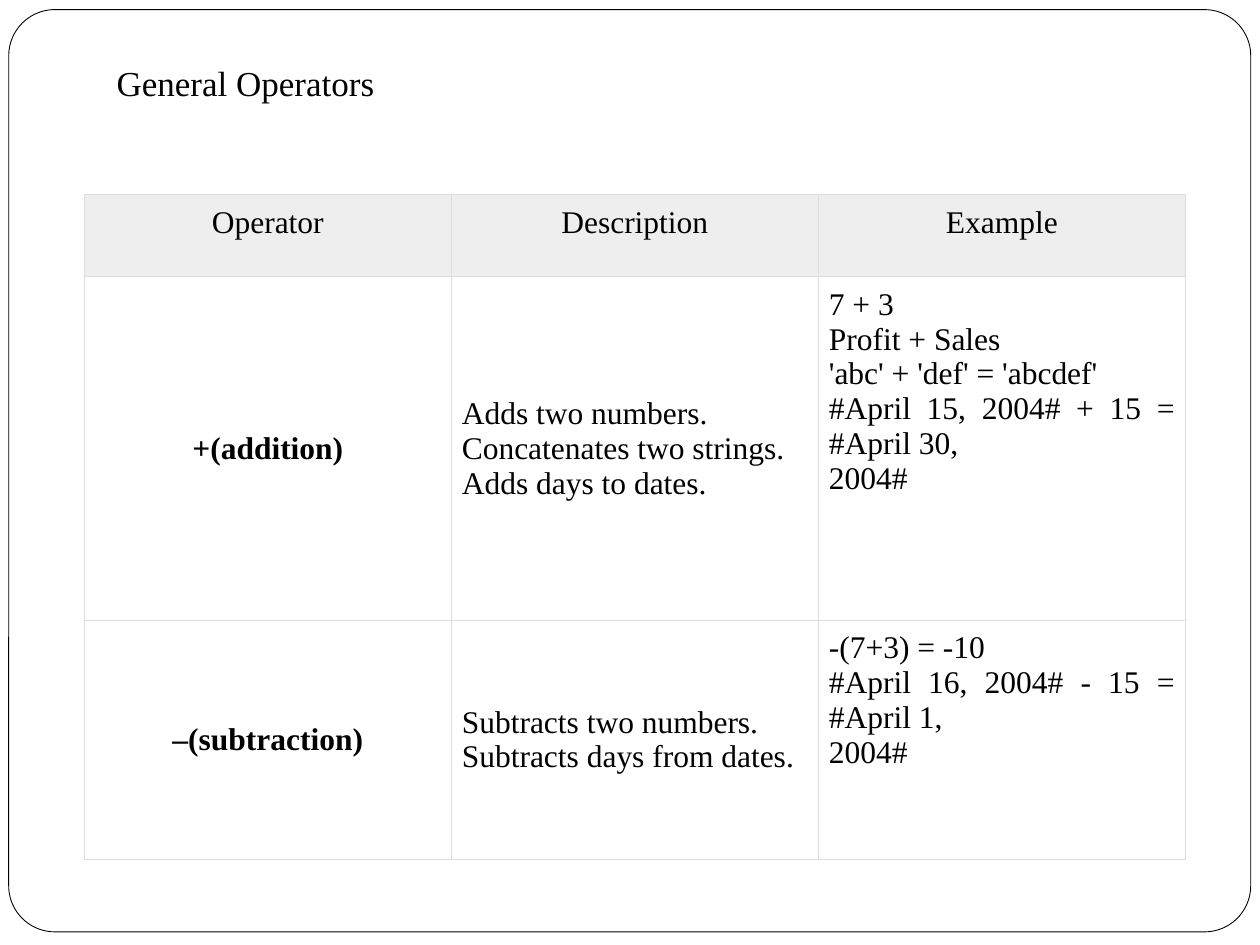
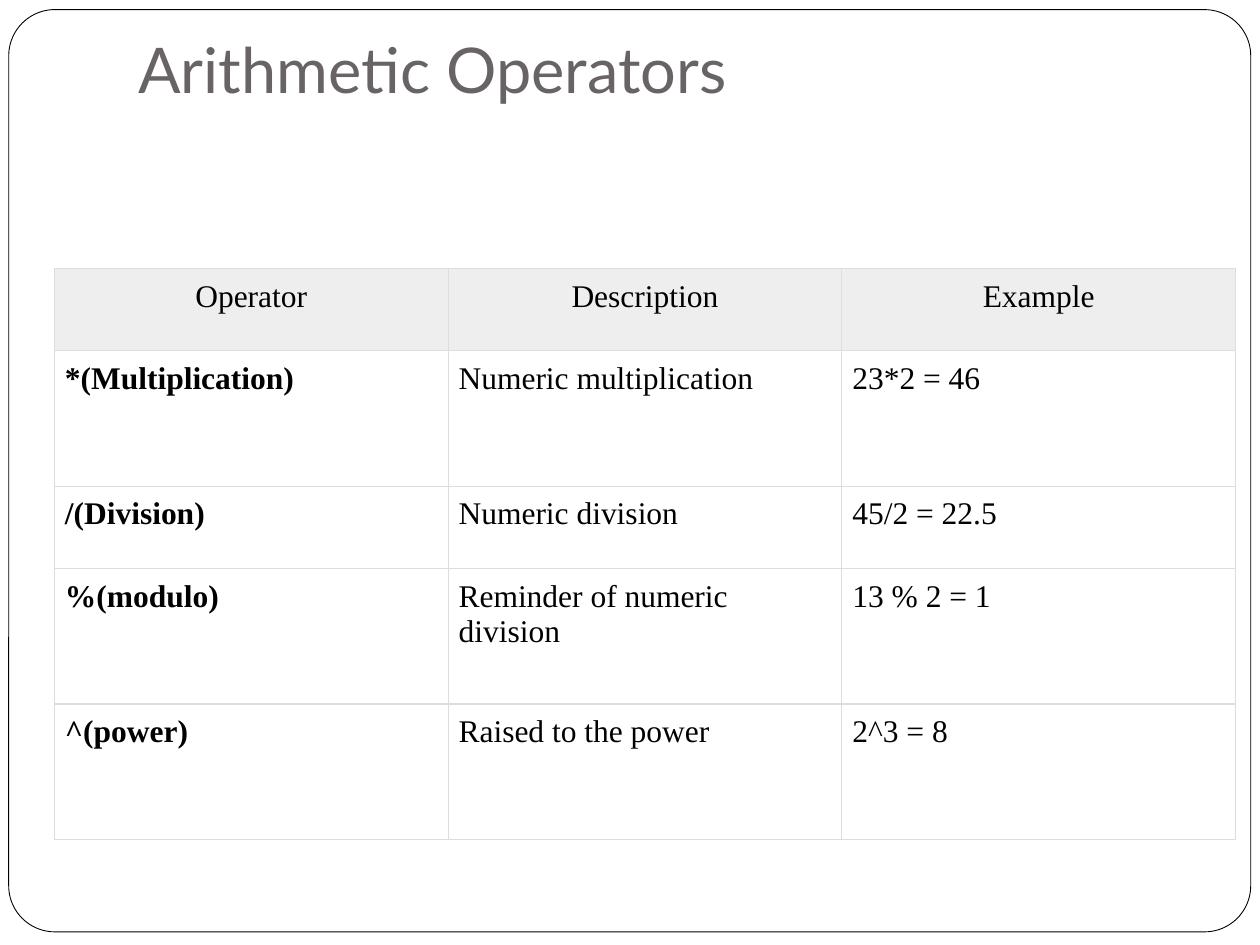
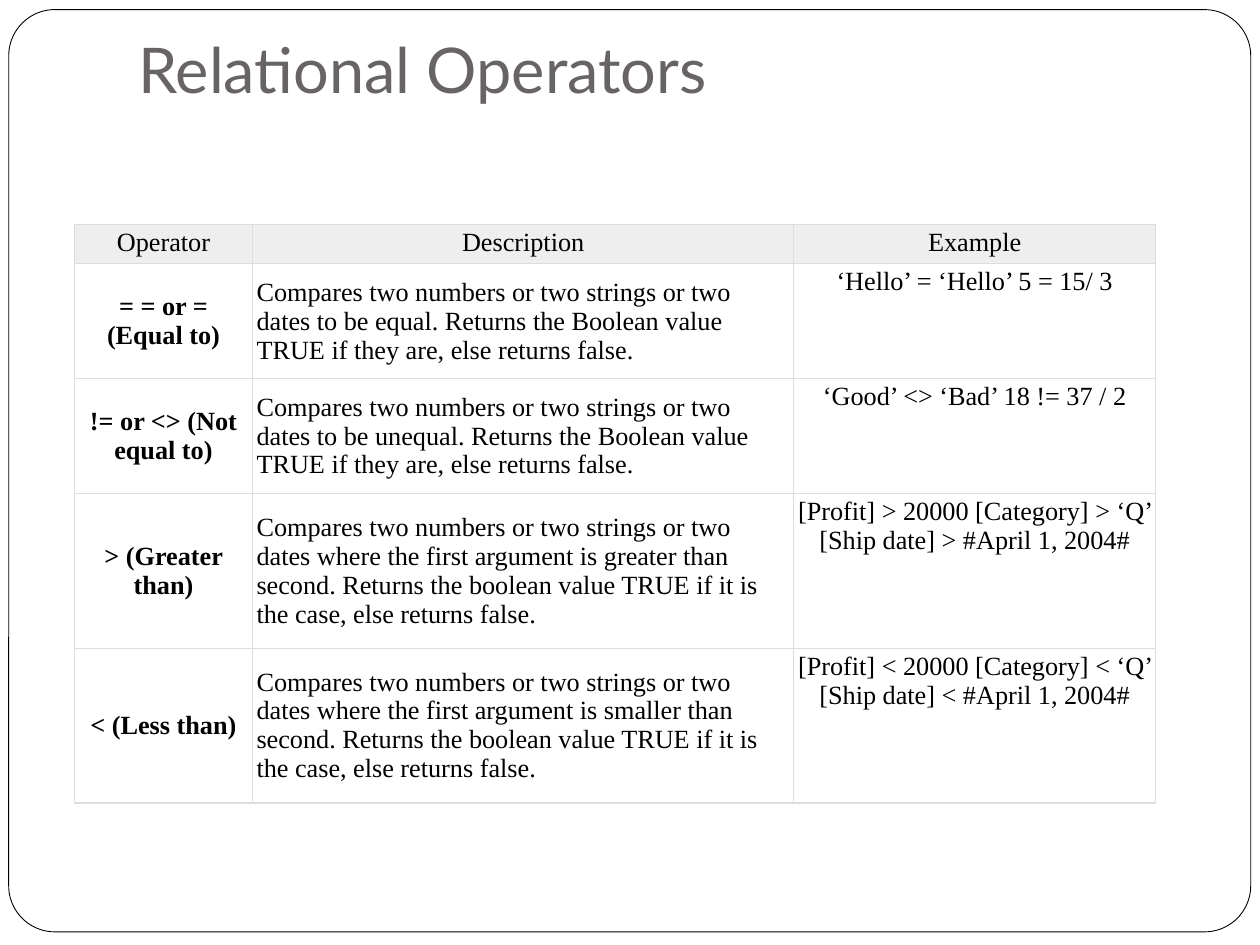
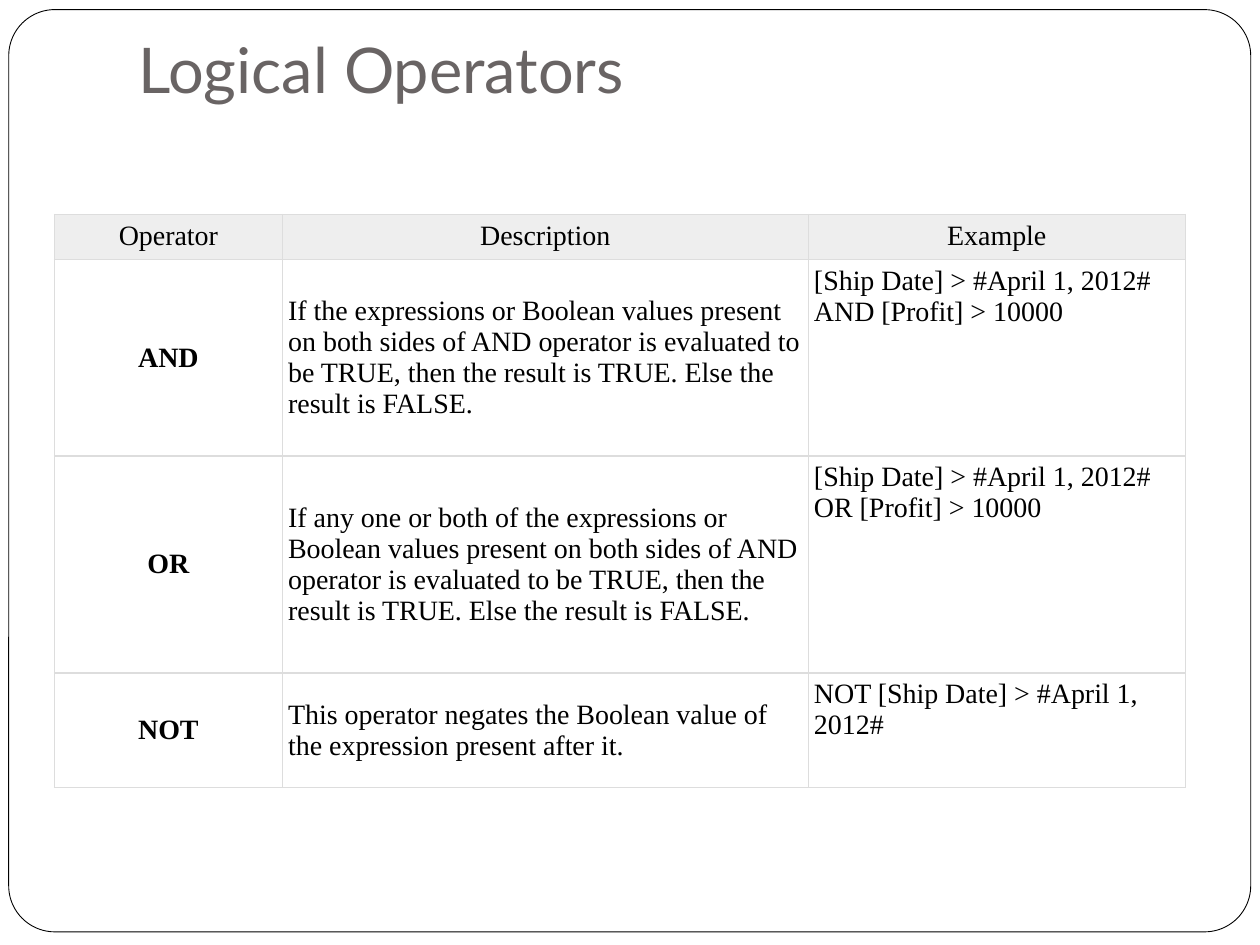
from lxml import etree
from pptx import Presentation
from pptx.dml.color import RGBColor
from pptx.enum import shapes, text
from pptx.oxml import ns
from pptx.util import Pt

BLACK = RGBColor(0x00, 0x00, 0x00)
WHITE = RGBColor(0xFF, 0xFF, 0xFF)
TITLE_GREY = RGBColor(0x69, 0x64, 0x64)
HEADER_GREY = RGBColor(0xEE, 0xEE, 0xEE)
BORDER_GREY = RGBColor(0xDD, 0xDD, 0xDD)

TITLE_FONT = "Lato"
BODY_FONT = "Times New Roman"

LEFT, CENTER, JUSTIFY = (
    text.PP_ALIGN.LEFT, text.PP_ALIGN.CENTER, text.PP_ALIGN.JUSTIFY)
TOP, MIDDLE = text.MSO_ANCHOR.TOP, text.MSO_ANCHOR.MIDDLE

HEADINGS = ("Operator", "Description", "Example")

GENERAL = [
    ("+(addition)",
     "Adds two numbers. Concatenates two strings. Adds days to dates.",
     "7 + 3\nProfit + Sales\n'abc' + 'def' = 'abcdef'\n"
     "#April 15, 2004# + 15 = #April 30,\n2004#"),
    ("–(subtraction)",
     "Subtracts two numbers. Subtracts days from dates.",
     "-(7+3) = -10\n#April 16, 2004# - 15 = #April 1,\n2004#"),
]

ARITHMETIC = [
    ("*(Multiplication)", "Numeric multiplication", "23*2 = 46"),
    ("/(Division)", "Numeric division", "45/2 = 22.5"),
    ("%(modulo)", "Reminder of numeric division", "13 % 2 = 1"),
    ("^(power)", "Raised to the power", "2^3 = 8"),
]

RELATIONAL = [
    ("= = or = (Equal to)",
     "Compares two numbers or two strings or two dates to be equal. "
     "Returns the Boolean value TRUE if they are, else returns false.",
     "‘Hello’ = ‘Hello’ 5 = 15/ 3"),
    ("!= or <> (Not equal to)",
     "Compares two numbers or two strings or two dates to be unequal. "
     "Returns the Boolean value TRUE if they are, else returns false.",
     "‘Good’ <> ‘Bad’ 18 != 37 / 2"),
    ("> (Greater than)",
     "Compares two numbers or two strings or two dates where the first "
     "argument is greater than second. Returns the boolean value TRUE if it "
     "is the case, else returns false.",
     "[Profit] > 20000 [Category] > ‘Q’ [Ship date] > #April 1, 2004#"),
    ("< (Less than)",
     "Compares two numbers or two strings or two dates where the first "
     "argument is smaller than second. Returns the boolean value TRUE if it "
     "is the case, else returns false.",
     "[Profit] < 20000 [Category] < ‘Q’ [Ship date] < #April 1, 2004#"),
]

LOGICAL = [
    ("AND",
     "If the expressions or Boolean values present on both sides of AND "
     "operator is evaluated to be TRUE, then the result is TRUE. Else the "
     "result is FALSE.",
     "[Ship Date] > #April 1, 2012# AND [Profit] > 10000"),
    ("OR",
     "If any one or both of the expressions or Boolean values present on "
     "both sides of AND operator is evaluated to be TRUE, then the result is "
     "TRUE. Else the result is FALSE.",
     "[Ship Date] > #April 1, 2012# OR [Profit] > 10000"),
    ("NOT",
     "This operator negates the Boolean value of the expression present "
     "after it.",
     "NOT [Ship Date] > #April 1, 2012#"),
]


def add_framed_slide(presentation):
    """Add a blank slide with the rounded outline that all slides share."""
    slide = presentation.slides.add_slide(presentation.slide_layouts[6])
    frame = slide.shapes.add_shape(
        shapes.MSO_SHAPE.ROUNDED_RECTANGLE, Pt(5), Pt(5.5), Pt(709.7), Pt(527))
    frame.adjustments[0] = 0.05
    frame.shadow.inherit = False
    frame.fill.solid()
    frame.fill.fore_color.rgb = WHITE
    frame.line.color.rgb = BLACK
    frame.line.width = Pt(0.5)
    return slide


def add_run(paragraph, words, font, size, color, bold=False):
    run = paragraph.add_run()
    run.text = words
    run.font.name = font
    run.font.size = Pt(size)
    run.font.color.rgb = color
    run.font.bold = bold


def add_title(slide, words):
    box = slide.shapes.add_textbox(Pt(72), Pt(17.2), Pt(612), Pt(90))
    frame = box.text_frame
    frame.word_wrap = True
    frame.vertical_anchor = TOP
    frame.margin_top = Pt(0)
    add_run(frame.paragraphs[0], words, TITLE_FONT, 36, TITLE_GREY)


def add_small_title(slide, words):
    box = slide.shapes.add_textbox(Pt(59.5), Pt(31.7), Pt(527), Pt(31.5))
    box.text_frame.word_wrap = True
    add_run(box.text_frame.paragraphs[0], words, BODY_FONT, 20, BLACK)


def set_borders(cell):
    properties = cell._tc.get_or_add_tcPr()
    for position, side in enumerate(("lnL", "lnR", "lnT", "lnB")):
        line = etree.Element(ns.qn(f"a:{side}"), w=str(Pt(0.75)))
        fill = etree.SubElement(line, ns.qn("a:solidFill"))
        etree.SubElement(fill, ns.qn("a:srgbClr"), val=str(BORDER_GREY))
        properties.insert(position, line)


def fill_cell(cell, words, size, inset, alignment, anchor, bold, fill=None):
    cell.margin_left = cell.margin_right = Pt(inset)
    cell.margin_top = cell.margin_bottom = Pt(inset)
    cell.vertical_anchor = anchor
    if fill is None:
        cell.fill.background()
    else:
        cell.fill.solid()
        cell.fill.fore_color.rgb = fill
    set_borders(cell)
    for index, line in enumerate(words.split("\n")):
        frame = cell.text_frame
        paragraph = frame.add_paragraph() if index else frame.paragraphs[0]
        paragraph.alignment = alignment
        add_run(paragraph, line, BODY_FONT, size, BLACK, bold)


def add_operator_table(slide, left, top, widths, heights, operators, size,
                       inset, alignments, anchors=(MIDDLE, MIDDLE, TOP)):
    """Draw a heading row and one row per operator; styles go by column."""
    table = slide.shapes.add_table(
        len(heights), len(widths), Pt(left), Pt(top),
        Pt(sum(widths)), Pt(sum(heights))).table
    table.first_row = table.horz_banding = False
    for column, width in zip(table.columns, widths):
        column.width = Pt(width)
    for row, height in zip(table.rows, heights):
        row.height = Pt(height)

    for column, heading in enumerate(HEADINGS):
        fill_cell(table.cell(0, column), heading, size, inset,
                  CENTER, TOP, False, HEADER_GREY)
    for row, operator in enumerate(operators, start=1):
        for column, words in enumerate(operator):
            fill_cell(table.cell(row, column), words, size, inset,
                      alignments[column], anchors[column], column == 0)


def main():
    presentation = Presentation()
    presentation.slide_width, presentation.slide_height = Pt(720), Pt(540)

    slide = add_framed_slide(presentation)
    add_operator_table(slide, 48.2, 111.3, [209.75] * 3, [46.8, 196.4, 136.6],
                       GENERAL, 18, 6, (CENTER, LEFT, JUSTIFY))
    add_small_title(slide, "General Operators")

    slide = add_framed_slide(presentation)
    add_title(slide, "Arithmetic Operators")
    add_operator_table(slide, 31.1, 153.5, [225] * 3,
                       [47, 77.4, 47, 77.4, 77.4], ARITHMETIC, 18, 6,
                       (LEFT, LEFT, LEFT), (TOP, TOP, TOP))

    slide = add_framed_slide(presentation)
    add_title(slide, "Relational Operators")
    add_operator_table(slide, 42.5, 128.2, [101.9, 309.3, 206.7],
                       [12.2, 65.7, 65.7, 88.4, 88.4], RELATIONAL, 15, 2.25,
                       (CENTER, LEFT, CENTER))

    slide = add_framed_slide(presentation)
    add_title(slide, "Logical Operators")
    add_operator_table(slide, 31.1, 122.5, [130.3, 300.5, 215.5],
                       [18, 112.3, 124, 65.5], LOGICAL, 16, 3.3,
                       (CENTER, LEFT, LEFT))

    presentation.save("out.pptx")


if __name__ == "__main__":
    main()
